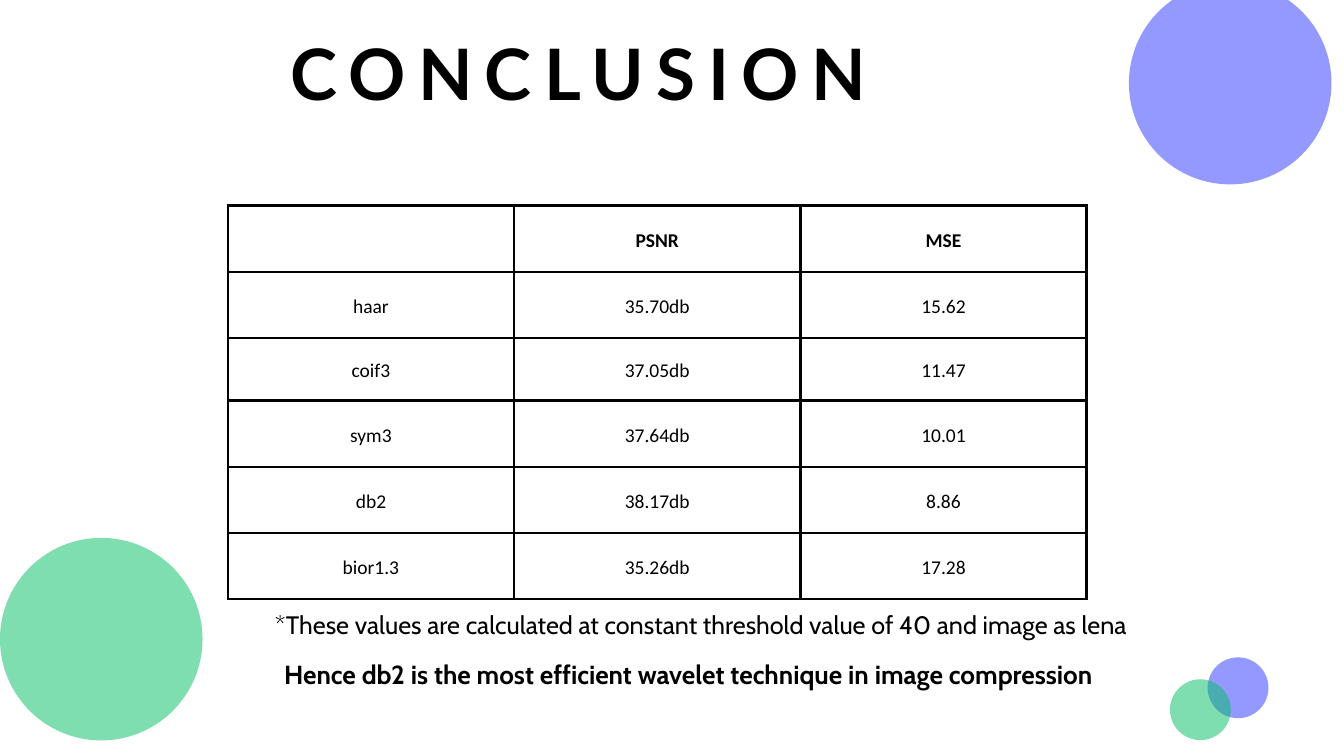
from dataclasses import dataclass

from lxml.etree import SubElement
from pptx import Presentation
from pptx.dml.color import RGBColor
from pptx.enum.shapes import MSO_SHAPE
from pptx.enum.text import MSO_ANCHOR, MSO_AUTO_SIZE, PP_ALIGN
from pptx.oxml import parse_xml
from pptx.oxml.ns import nsdecls, qn
from pptx.util import Inches, Pt


@dataclass(frozen=True)
class Theme:
    """Colours, fonts and type sizes of the slide."""

    ink: str = "000000"
    violet: str = "2B34FF"
    green: str = "00BF63"
    circle_opacity: int = 50
    title_font: str = "Lato"
    table_font: str = "Calibri"
    note_font: str = "Cabin"
    title_size: float = 76
    table_size: float = 20.9
    note_size: float = 27
    finding_size: float = 28
    title_tracking: float = 13.3
    border_width: float = 3


THEME = Theme()
SLIDE_WIDTH, SLIDE_HEIGHT = 20, 11.25
WAVELET_RESULTS = (
    ("", "PSNR", "MSE"),
    ("haar", "35.70db", "15.62"),
    ("coif3", "37.05db", "11.47"),
    ("sym3", "37.64db", "10.01"),
    ("db2", "38.17db", "8.86"),
    ("bior1.3", "35.26db", "17.28"),
)


def across(percent):
    """Return a percentage of the slide's width as a length."""
    return Inches(SLIDE_WIDTH * percent / 100)


def down(percent):
    """Return a percentage of the slide's height as a length."""
    return Inches(SLIDE_HEIGHT * percent / 100)


def add_circle(page, left, top, diameter, colour):
    """Add a translucent circle whose diameter is a share of the slide's width."""
    size = across(diameter)
    circle = page.shapes.add_shape(MSO_SHAPE.OVAL, across(left), down(top), size, size)
    circle.shadow.inherit = False
    circle.line.fill.background()
    circle.fill.solid()
    circle.fill.fore_color.rgb = RGBColor.from_string(colour)
    colour_node = circle.fill._xPr.find(qn("a:solidFill"))[0]
    SubElement(colour_node, qn("a:alpha"), val=str(THEME.circle_opacity * 1000))


def write_line(frame, text, font, size, leading, bold=False, align=PP_ALIGN.CENTER):
    """Write one line of text into a frame and return its run."""
    para = frame.paragraphs[0]
    para.alignment = align
    para.line_spacing = Pt(leading)
    span = para.add_run()
    span.text = text
    span.font.name = font
    span.font.size = Pt(size)
    span.font.bold = bold
    span.font.color.rgb = RGBColor.from_string(THEME.ink)
    return span


def add_text(page, left, top, width, height, *line, **style):
    """Add a text box without margins and return its run."""
    box = page.shapes.add_textbox(across(left), down(top), across(width), down(height))
    frame = box.text_frame
    frame.margin_left = frame.margin_right = frame.margin_top = frame.margin_bottom = 0
    frame.word_wrap = True
    frame.auto_size = MSO_AUTO_SIZE.SHAPE_TO_FIT_TEXT
    return write_line(frame, *line, **style)


def style_cell(cell):
    """Give a cell solid borders, even margins and no fill."""
    cell.vertical_anchor = MSO_ANCHOR.MIDDLE
    cell.margin_left = cell.margin_right = Inches(0.21)
    cell.margin_top = cell.margin_bottom = Inches(0.21)
    properties = cell._tc.get_or_add_tcPr()
    for side in ("lnL", "lnR", "lnT", "lnB"):
        properties.append(parse_xml(
            f'<a:{side} {nsdecls("a")} w="{Pt(THEME.border_width)}">'
            f'<a:solidFill><a:srgbClr val="{THEME.ink}"/></a:solidFill>'
            f'<a:prstDash val="solid"/></a:{side}>'
        ))
    cell.fill.background()


def add_results_table(page, left, top, width, row_heights, rows):
    """Add a bordered table with equal columns and a bold first row."""
    columns = len(rows[0])
    table = page.shapes.add_table(
        len(rows), columns, across(left), down(top), across(width), down(sum(row_heights))
    ).table
    table.first_row = table.horz_banding = False
    for column in table.columns:
        column.width = across(width / columns)
    for row_index, (values, height) in enumerate(zip(rows, row_heights)):
        table.rows[row_index].height = down(height)
        for column_index, value in enumerate(values):
            cell = table.cell(row_index, column_index)
            style_cell(cell)
            if value:
                write_line(cell.text_frame, value, THEME.table_font, THEME.table_size,
                           29.2, bold=row_index == 0)


def main():
    """Build the conclusion slide and save it."""
    deck = Presentation()
    deck.slide_width, deck.slide_height = Inches(SLIDE_WIDTH), Inches(SLIDE_HEIGHT)
    page = deck.slides.add_slide(deck.slide_layouts[6])

    add_circle(page, 84, -2.4, 15.07, THEME.violet)
    add_circle(page, 0, 71.15, 15.07, THEME.green)
    add_circle(page, 89.85, 86.95, 4.53, THEME.violet)
    add_circle(page, 87.05, 89.85, 4.53, THEME.green)

    row_heights = [8.75, 8.75, 8.3, 8.75, 8.75, 8.75]
    add_results_table(page, 16.95, 27.2, 63.9, row_heights, WAVELET_RESULTS)

    title = add_text(page, 21.6, 3.9, 83.8, 12.7, "CONCLUSION", THEME.title_font,
                     THEME.title_size, 91.2, bold=True, align=PP_ALIGN.LEFT)
    title._r.get_or_add_rPr().set("spc", str(round(THEME.title_tracking * 100)))
    add_text(page, 15.7, 80, 72.85, 4.55,
             "*These values are calculated at constant threshold value of 40 and image as lena",
             THEME.note_font, THEME.note_size, 37.8)
    add_text(page, 16.85, 86.4, 68.7, 4.7,
             "Hence db2 is the most efficient wavelet technique in image compression",
             THEME.note_font, THEME.finding_size, 39.2, bold=True)
    deck.save("out.pptx")


if __name__ == "__main__":
    main()
